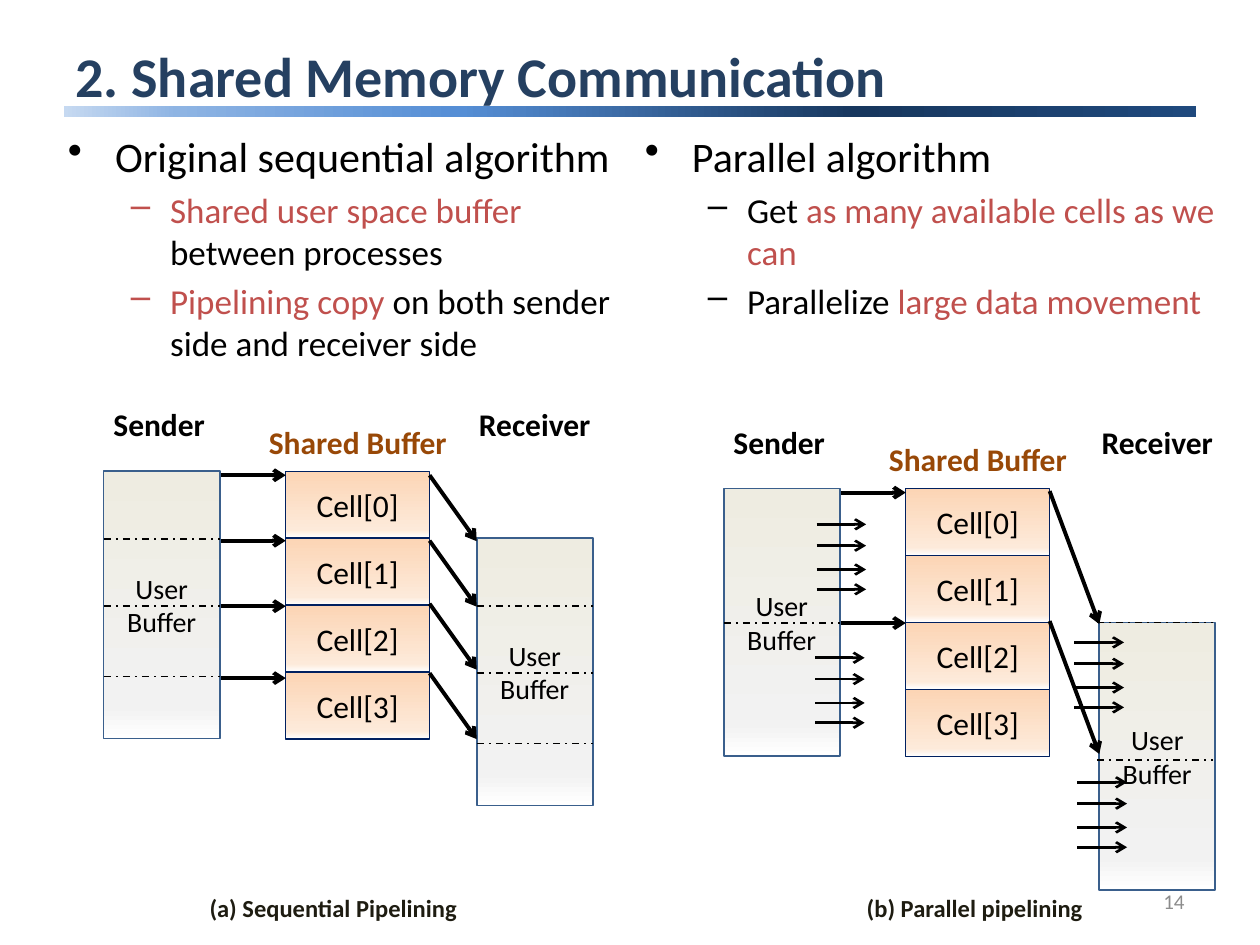
from lxml import etree
from pptx import Presentation
from pptx import util as u
from pptx.dml.color import RGBColor
from pptx.enum import dml, shapes, text
from pptx.oxml import ns

FONT = "Calibri"
COLORS = {
    "title": "254061", "body": "000000", "accent": "C0504D", "shared": "984807",
    "caption": "1E1C11", "number": "8C8C8C", "cell_line": "002060", "buffer_line": "3A5F8C",
}
GRADIENTS = {
    "bar": [(0, "1F497D"), (30, "17375E"), (65, "558ED5"), (90, "8EB4E3"), (100, "C6D9F1")],
    "cell": [(0, "FCD5B5"), (88, "FDEADA"), (100, "FFFFFF")],
    "buffer": [(0, "EEECE1"), (88, "F2F2F2"), (100, "FFFFFF")],
}
ALIGN = text.PP_ALIGN
ANCHOR = text.MSO_ANCHOR


def rgb(name):
    return RGBColor.from_string(COLORS[name])


def add_child(parent, tag, **attributes):
    return etree.SubElement(parent, ns.qn(tag), attributes)


def write(paragraph, content, *, size, color="body", bold=False, align=ALIGN.LEFT):
    """Write a string, or a list of (string, colour) runs, into a paragraph."""
    paragraph.alignment = align
    runs = [(content, color)] if isinstance(content, str) else content
    for words, run_color in runs:
        run = paragraph.add_run()
        run.text = words
        run.font.name = FONT
        run.font.size = u.Pt(size)
        run.font.bold = bold
        run.font.color.rgb = rgb(run_color)


class SlideBuilder:
    # (bullet, size, left margin, indent) for each outline level
    LEVELS = [("•", 24, 0.95, -0.95), ("–", 20, 2.06, -0.79)]

    def __init__(self, slide):
        self.slide = slide

    def title(self, content, *box):
        heading = self.slide.shapes.title
        heading.left, heading.top, heading.width, heading.height = map(u.Cm, box)
        heading.text_frame.vertical_anchor = ANCHOR.MIDDLE
        write(heading.text_frame.paragraphs[0], content, size=32, color="title", bold=True)
        # Letters that reach below the line lie over the bar
        self.slide.shapes._spTree.append(heading._element)

    def box(self, gradient, *box, angle=270, line=None, width=1, content=None, size=18):
        rect = self.slide.shapes.add_shape(shapes.MSO_SHAPE.RECTANGLE, *map(u.Cm, box))
        rect.shadow.inherit = False
        rect.fill.gradient()
        rect.fill.gradient_angle = angle
        stops = rect._element.spPr.find(".//" + ns.qn("a:gsLst"))
        for stop in list(stops):
            stops.remove(stop)
        for position, color in GRADIENTS[gradient]:
            stop = add_child(stops, "a:gs", pos=str(position * 1000))
            add_child(stop, "a:srgbClr", val=color)
        if line:
            rect.line.color.rgb = rgb(line)
            rect.line.width = u.Pt(width)
        else:
            rect.line.fill.background()
        if content:
            rect.text_frame.word_wrap = True
            rect.text_frame.vertical_anchor = ANCHOR.MIDDLE
            write(rect.text_frame.paragraphs[0], content, size=size, align=ALIGN.CENTER)

    def label(self, content, *box, anchor=ANCHOR.TOP, align=ALIGN.CENTER, **style):
        frame = self.slide.shapes.add_textbox(*map(u.Cm, box)).text_frame
        frame.word_wrap = True
        frame.vertical_anchor = anchor
        write(frame.paragraphs[0], content, align=align, **style)

    def bullets(self, items, *box):
        frame = self.slide.shapes.add_textbox(*map(u.Cm, box)).text_frame
        frame.word_wrap = True
        frame.margin_left = frame.margin_right = u.Cm(0.1)
        for i, (level, content) in enumerate(items):
            paragraph = frame.add_paragraph() if i else frame.paragraphs[0]
            bullet, size, margin, indent = self.LEVELS[level]
            paragraph.level = level
            properties = paragraph._p.get_or_add_pPr()
            properties.set("marL", str(u.Cm(margin)))
            properties.set("indent", str(u.Cm(indent)))
            add_child(properties, "a:buChar", char=bullet)
            if i:
                paragraph.space_before = u.Pt(size * 0.2)
            write(paragraph, content, size=size)

    def line(self, *ends, width=2.25, arrow=True):
        link = self.slide.shapes.add_connector(shapes.MSO_CONNECTOR.STRAIGHT, *map(u.Cm, ends))
        link.line.color.rgb = rgb("body")
        link.line.width = u.Pt(width)
        if arrow:
            add_child(link.line._get_or_add_ln(), "a:tailEnd", type="arrow")
        else:
            link.line.dash_style = dml.MSO_LINE.DASH_DOT
        add_child(link._element.spPr, "a:effectLst")

    def user_buffer(self, x, y, dividers, shift=0):
        self.box("buffer", x, y, BUFFER_W, BUFFER_H, line="buffer_line",
                 content="User Buffer", size=16)
        for dy in dividers:
            self.line(x + shift, y + dy, x + shift + BUFFER_W, y + dy, width=1, arrow=False)

    def pipeline(self, x, y, receiver, sends, receives, sender_dividers,
                 receiver_dividers, receiver_shift=0):
        """Draw sender, shared cells and receiver from the sender's top left corner."""
        receiver_x, receiver_dy, drop = receiver
        self.label("Shared Buffer", x + 2.24, y - 1.1, 5.77, 1.02,
                   size=18, color="shared", bold=True)
        for i in range(4):
            self.box("cell", x + CELL_X, y + i * CELL_H, CELL_W, CELL_H,
                     line="cell_line", width=0.75, content=f"Cell[{i}]")
        for dy in sends:
            self.line(x + 2.13, y + dy, x + CELL_X, y + dy)
        self.user_buffer(x, y, sender_dividers)
        self.user_buffer(x + receiver_x, y + receiver_dy, receiver_dividers, receiver_shift)
        for dy in receives:
            self.line(x + CELL_X + CELL_W, y + dy, x + receiver_x, y + dy + drop)
        for name, dx in (("Sender", -0.38), ("Receiver", receiver_x - 0.33)):
            self.label(name, x + dx, y - 1.45, 3, 1.02, size=18, bold=True)


# Diagram measures in cm
CELL_X, CELL_W, CELL_H = 3.67, 2.9, 1.35
BUFFER_W, BUFFER_H = 2.34, 5.39

prs = Presentation()
prs.slide_width, prs.slide_height = u.Cm(25.4), u.Cm(19.05)
page = SlideBuilder(prs.slides.add_slide(prs.slide_layouts[5]))

# Heading
page.box("bar", 1.29, 2.13, 22.82, 0.24, angle=180)
page.title("2. Shared Memory Communication", 1.27, 0.76, 22.86, 1.5)

# Two columns of points
page.bullets([
    (0, "Original sequential algorithm"),
    (1, [("Shared user space buffer ", "accent"), ("between processes", "body")]),
    (1, [("Pipelining copy ", "accent"), ("on both sender side and receiver side", "body")]),
], 1.27, 2.51, 11.23, 14.5)
page.bullets([
    (0, "Parallel algorithm"),
    (1, [("Get ", "body"), ("as many available cells as we can", "accent")]),
    (1, [("Parallelize ", "body"), ("large data movement", "accent")]),
], 12.9, 2.51, 11.79, 14.5)

# Sequential pipelining
quarters = (1.37, 2.72, 4.14)
page.pipeline(2.09, 9.5, receiver=(7.52, 1.35, 1.33), sends=(0.08, 1.4, 2.72, 4.17),
              receives=(0.08, 1.4, 2.67, 4.07), sender_dividers=quarters,
              receiver_dividers=quarters)

# Parallel pipelining
page.pipeline(14.59, 9.85, receiver=(7.57, 2.7, 2.68), sends=(0.08, 2.71),
              receives=(0.05, 2.67), sender_dividers=(2.71,),
              receiver_dividers=(0, 2.77), receiver_shift=-0.05)

# Parallel copies inside each half of the buffers
for x, y in ((16.46, 10.57), (16.43, 13.26), (21.66, 12.95), (21.72, 15.77)):
    for dy in (0, 0.43, 0.91, 1.31):
        page.line(x, y + dy, x + 1, y + dy, width=1.5)

# Captions and slide number
for caption, x in (("(a) Sequential Pipelining", 1.22), ("(b) Parallel pipelining", 14.15)):
    page.label(caption, x, 17.88, 11, 0.86, size=14, color="caption", bold=True)
page.label("14", 18.21, 17.65, 5.92, 1.02, size=12, color="number",
           align=ALIGN.RIGHT, anchor=ANCHOR.MIDDLE)

prs.save("out.pptx")
